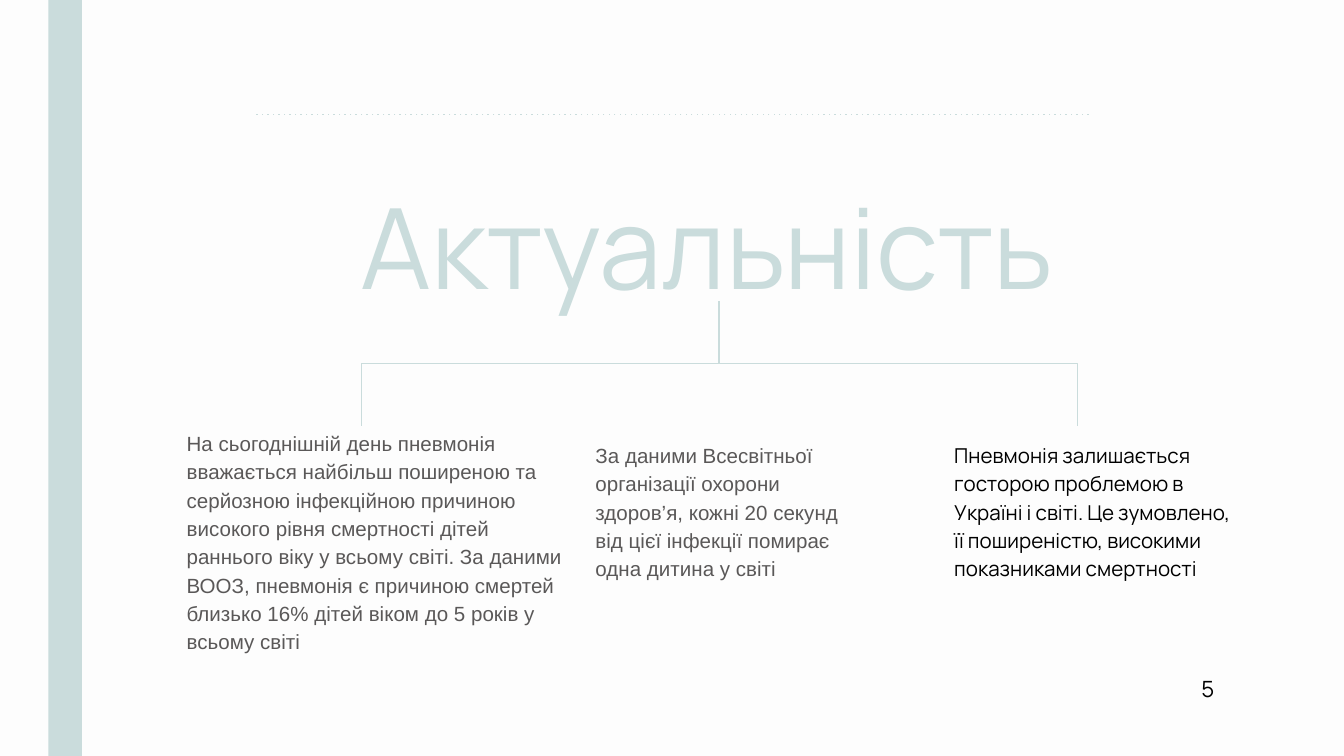
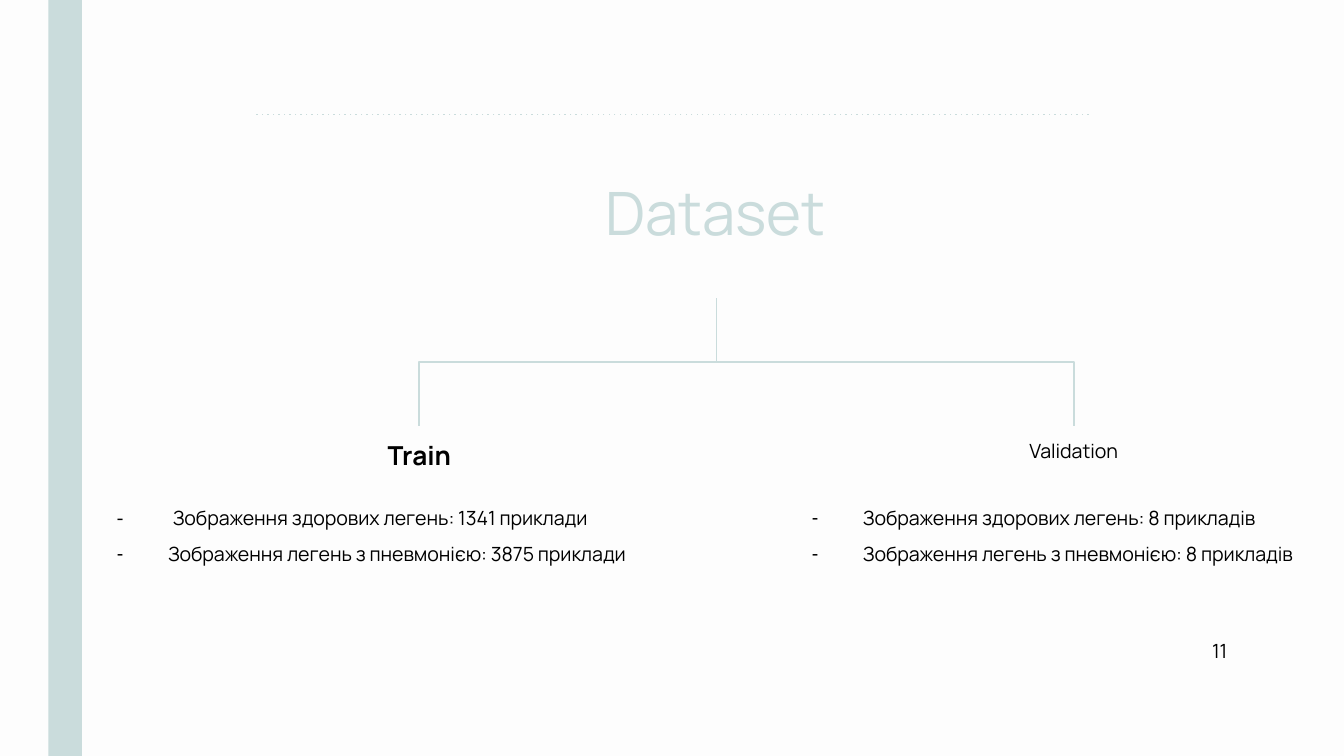
import pptx
import pptx.util
import pptx.dml.color
import pptx.enum.dml
import pptx.enum.shapes
import pptx.enum.text
import pptx.oxml.ns
import lxml.etree

Pt = pptx.util.Pt
qn = pptx.oxml.ns.qn

MINT, GREY, BLACK, PAPER = "CADCDC", "5A5858", "000000", "FDFDFD"
COMPARISON_LAYOUT = 4
BAND = (25.9, -3.6, 18, 412.6)
RULE = (583.2, 61.2, 136.8)
BRANCH_BOTTOM = 228.2
DASH = {"mark": "-", "indent": 27.4}
SMALL_DASH = {"mark": "-", "indent": 30, "mark_font": "Times New Roman", "mark_size": 9}

PROSE = {"size": 11, "spacing": 1.15}
LIST = {"size": 10.5, "spacing": 1.5}
HEADING = {"align": "CENTER"}

PAGES = [
    {
        "title": ("Актуальність ", (160.6, 87.8, 448.6, 72.7), 60),
        "tree": {"hub": (385.2, 161.3), "ends": (193.7, 577.4)},
        "bodies": [
            ((80.6, 221.8, 229, 197.3),
             [("На сьогоднішній день пневмонія вважається найбільш поширеною та "
               "серйозною інфекційною причиною високого рівня смертності дітей "
               "раннього віку у всьому світі. За даними ВООЗ, пневмонія є причиною "
               "смертей близько 16% дітей віком до 5 років у всьому світі", {})],
             {**PROSE, "font": "Arial", "color": GREY, "left": 12.2}),
            ((311.8, 228.2, 146.9, 90),
             [("За даними Всесвітньої організації охорони здоров’я, кожні 20 секунд "
               "від цієї інфекції помирає одна дитина у світі", {})],
             {**PROSE, "font": "Arial", "color": GREY}),
            ((504, 228.2, 167, 115.9),
             [("Пневмонія залишається госторою проблемою в Україні і світі. Це "
               "зумовлено, її поширеністю, високими показниками смертності", {})],
             PROSE),
        ],
        "number": ("5", (622.8, 352.1, 47.5, 35.3), 12),
    },
    {
        "title": ("Dataset", (159.1, 87.1, 448.6, 72.7), 32),
        "tree": {"hub": (383.8, 159.8), "ends": (224.6, 575.3)},
        "bodies": [
            ((118.1, 228.2, 213.1, 29.5), [("Train", {})],
             {**HEADING, "size": 14, "bold": True}),
            ((55.4, 257.8, 340.6, 111.6),
             [("Зображення здорових легень: 1341 приклади", SMALL_DASH),
              ("Зображення легень з пневмонією: 3875 приклади", DASH)], LIST),
            ((501.8, 228.2, 146.9, 25.2), [("Validation", {})],
             {**HEADING, "size": 10.5}),
            ((427.7, 257.8, 306, 60.5),
             [("Зображення здорових легень: 8 прикладів", DASH),
              ("Зображення легень з пневмонією: 8 прикладів", DASH)], LIST),
        ],
        "number": ("11", (628.6, 333.4, 38.9, 35.3), 10.5),
    },
]


def rgb(color):
    return pptx.dml.color.RGBColor.from_string(color)


def place(shape, box):
    shape.left, shape.top, shape.width, shape.height = map(Pt, box)


def set_mark(para, mark=None, indent=0, left=0, mark_font=None, mark_size=None):
    properties = para._p.get_or_add_pPr()
    properties.set("marL", str(Pt(indent or left)))
    properties.set("indent", str(-Pt(indent)))

    def add(tag, parent=properties, **attributes):
        return lxml.etree.SubElement(parent, qn(tag), **attributes)

    if not mark:
        add("a:buNone")
        return
    add("a:srgbClr", add("a:buClr"), val=BLACK)
    if mark_size:
        add("a:buSzPts", val=str(mark_size * 100))
    if mark_font:
        add("a:buFont", typeface=mark_font)
    add("a:buChar", char=mark)


def write(shape, items, size, font="Manrope", color=BLACK, bold=False,
          align="LEFT", spacing=1.0, left=0):
    frame = shape.text_frame
    frame.word_wrap = True
    frame.auto_size = pptx.enum.text.MSO_AUTO_SIZE.NONE
    frame.vertical_anchor = pptx.enum.text.MSO_ANCHOR.TOP
    frame.margin_left = frame.margin_right = Pt(7.2)
    frame.margin_top = frame.margin_bottom = Pt(7.2)
    for index, (text, mark) in enumerate(items):
        para = frame.add_paragraph() if index else frame.paragraphs[0]
        para.alignment = getattr(pptx.enum.text.PP_ALIGN, align)
        para.line_spacing = spacing
        para.space_before = para.space_after = Pt(0)
        set_mark(para, left=left, **mark)
        span = para.add_run()
        span.text = text
        span.font.name = font
        span.font.size = Pt(size)
        span.font.bold = bold
        span.font.color.rgb = rgb(color)


def add_line(page, kind, *ends):
    line = page.shapes.add_connector(
        getattr(pptx.enum.shapes.MSO_CONNECTOR, kind), *map(Pt, ends))
    line.line.color.rgb = rgb(MINT)
    line.line.width = Pt(0.75)
    return line


def drop_shadow(line):
    lxml.etree.SubElement(line.element.spPr, qn("a:effectLst"))


def add_branch(page, hub, end):
    hub_x, hub_y = hub
    width, height = BRANCH_BOTTOM - hub_y, abs(end - hub_x)
    middle_x, middle_y = (hub_x + end) / 2, (hub_y + BRANCH_BOTTOM) / 2
    side, turn = (-1, 270) if end < hub_x else (1, 90)
    branch = add_line(page, "ELBOW",
                      middle_x + side * width / 2, middle_y - height / 2,
                      middle_x - side * width / 2, middle_y + height / 2)
    branch.element.spPr.find(qn("a:xfrm")).set("rot", str(turn * 60000))
    drop_shadow(branch)


def add_rule(page):
    start, top, end = RULE
    rule = add_line(page, "STRAIGHT", start, top, end, top)
    rule.line.dash_style = pptx.enum.dml.MSO_LINE.ROUND_DOT
    rule.element.spPr.find(".//" + qn("a:prstDash")).set("val", "dot")
    drop_shadow(rule)


def style_master(deck, page):
    background = deck.slide_master.background.fill
    background.solid()
    background.fore_color.rgb = rgb(PAPER)
    band = page.shapes.add_shape(
        pptx.enum.shapes.MSO_SHAPE.RECTANGLE, *map(Pt, BAND))
    band.shadow.inherit = False
    band.fill.solid()
    band.fill.fore_color.rgb = rgb(MINT)
    band.line.fill.background()
    deck.slide_master.shapes.element.insert(2, band.element)


def build_page(page, content):
    text, box, size = content["title"]
    title = page.shapes.title
    place(title, box)
    write(title, [(text, {})], size, color=MINT, align="CENTER")

    for end in content["tree"]["ends"]:
        add_branch(page, content["tree"]["hub"], end)

    bodies = [holder for holder in page.placeholders
              if holder.placeholder_format.idx > 0]
    for body, (box, items, style) in zip(bodies, content["bodies"]):
        place(body, box)
        write(body, items, **style)
    for spare in bodies[len(content["bodies"]):]:
        spare.element.getparent().remove(spare.element)

    add_rule(page)
    text, box, size = content["number"]
    number = page.shapes.add_textbox(*map(Pt, box))
    write(number, [(text, {})], size, spacing=1.15, left=13.7)


def main():
    deck = pptx.Presentation()
    deck.slide_width, deck.slide_height = Pt(720), Pt(405)
    layout = deck.slide_layouts[COMPARISON_LAYOUT]
    pages = [deck.slides.add_slide(layout) for _ in PAGES]
    style_master(deck, pages[0])
    for page, content in zip(pages, PAGES):
        build_page(page, content)
    deck.save("out.pptx")


if __name__ == "__main__":
    main()
